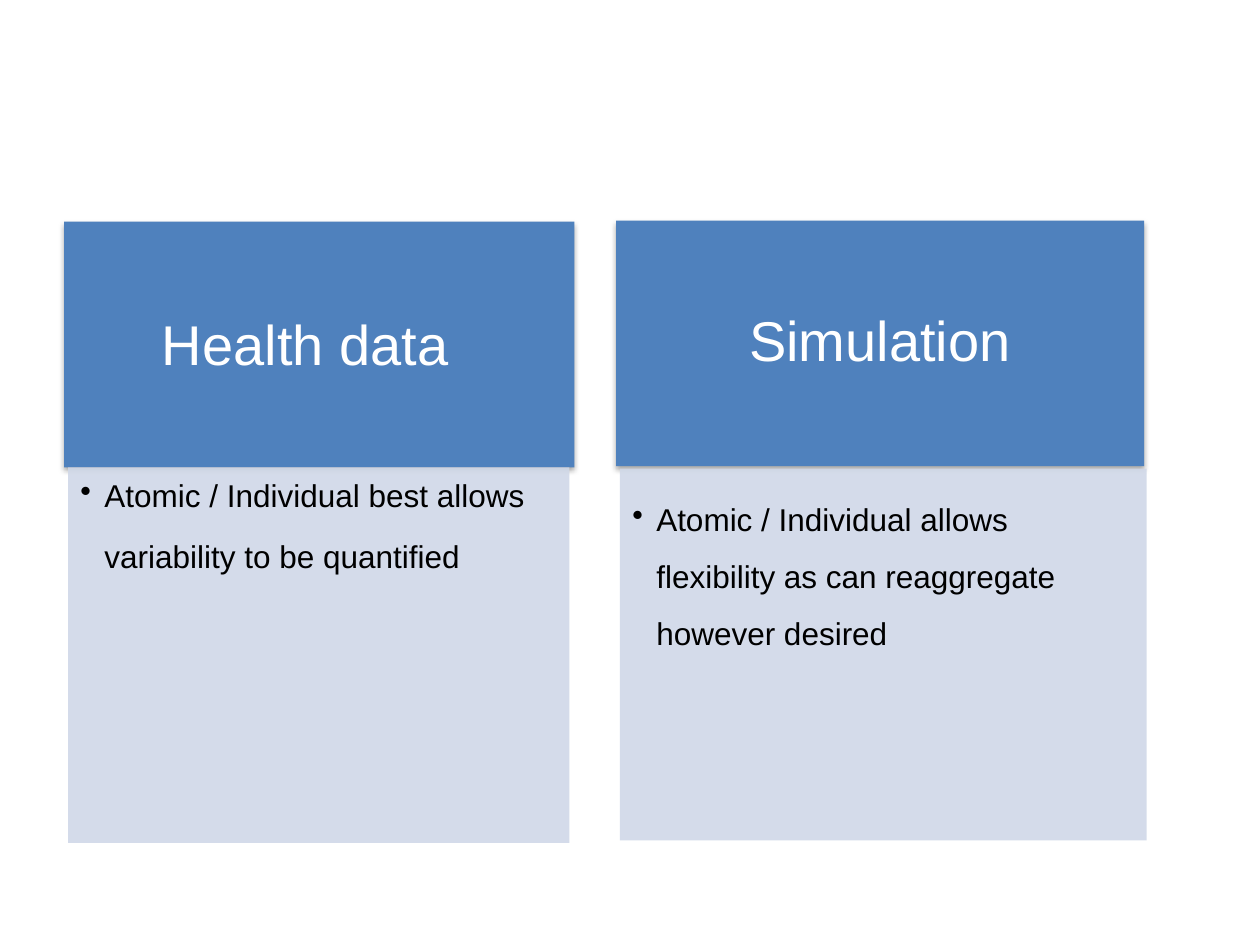
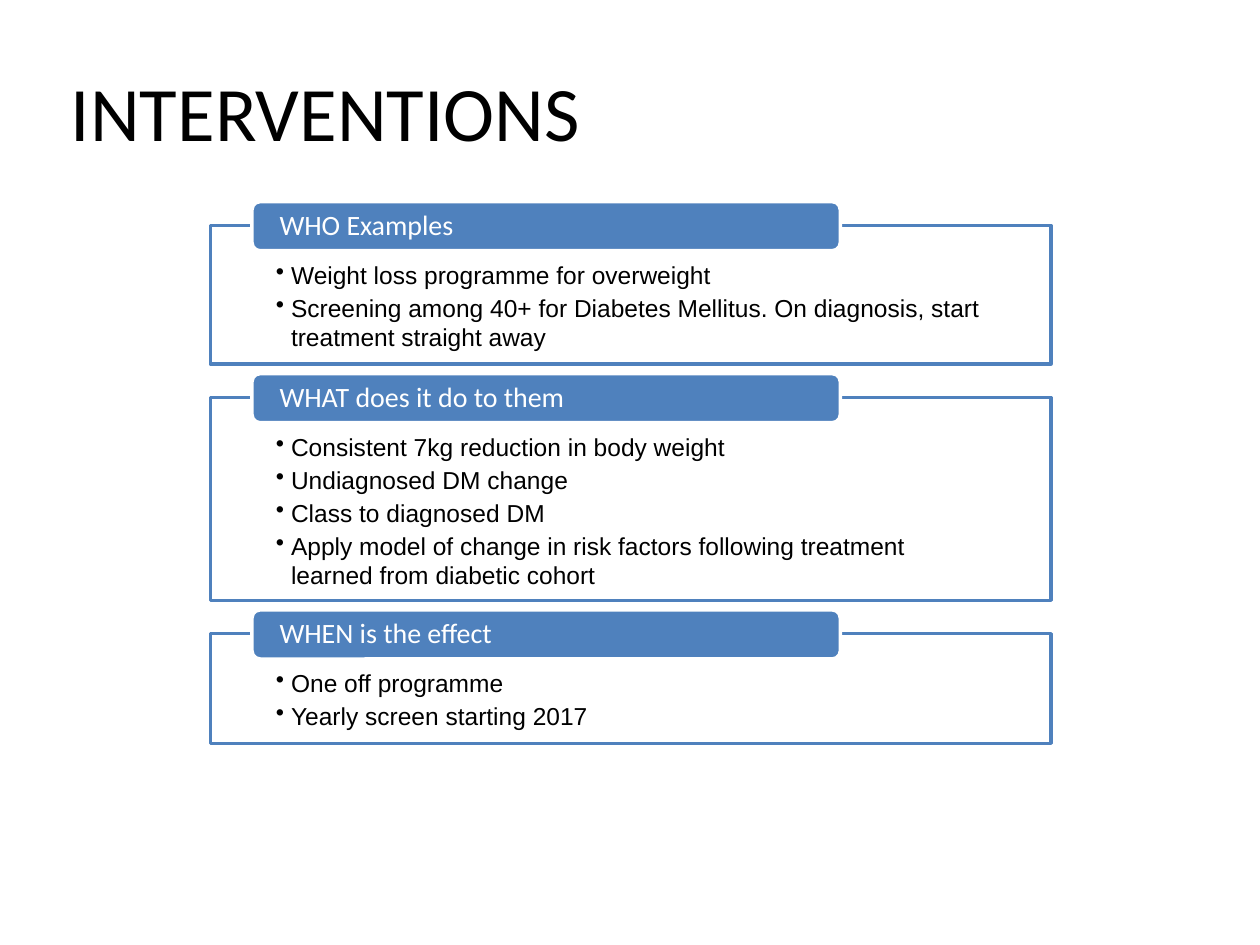
"""Build two slides: data panels and intervention boxes."""
from dataclasses import dataclass
from typing import Optional

from lxml import etree
from pptx import Presentation
from pptx import util as u
from pptx.dml.color import RGBColor
from pptx.enum import shapes, text
from pptx.oxml.ns import qn

BLUE, PALE, WHITE, BLACK = "4F81BD", "D0D8E8", "FFFFFF", "000000"
COLS, ROWS = 100, 75
RECT, ROUND = shapes.MSO_SHAPE.RECTANGLE, shapes.MSO_SHAPE.ROUNDED_RECTANGLE
TOP, MID = text.MSO_ANCHOR.TOP, text.MSO_ANCHOR.MIDDLE
LEFT, MIDDLE = text.PP_ALIGN.LEFT, text.PP_ALIGN.CENTER


@dataclass
class Style:
    """Say how a block of text looks."""
    size: float
    font: str
    color: str
    inset: tuple
    anchor: object = TOP
    align: object = LEFT
    lead: float = 1.0
    after: float = 0
    hang: float = 0


@dataclass
class Box:
    """Place a box in grid columns and rows."""
    x: float
    y: float
    w: float
    h: float
    fill: str
    line: Optional[str] = None
    kind: object = RECT
    clear: bool = False
    shade: bool = False


@dataclass
class Panel:
    """Pair a heading box with its body box."""
    head: Box
    body: Box
    name: str
    note: str
    lead: float
    tab: bool = False


@dataclass
class Group:
    """Hold a heading, its points and its height in rows."""
    name: str
    points: list
    h: float


deck = Presentation()
deck.slide_width, deck.slide_height = u.Inches(10), u.Inches(7.5)


def tint(code: str) -> RGBColor:
    """Turn a hex string into a colour."""
    return RGBColor.from_string(code)


def across(n: float) -> int:
    """Measure grid columns."""
    return round(deck.slide_width * n / COLS)


def down(n: float) -> int:
    """Measure grid rows."""
    return round(deck.slide_height * n / ROWS)


def add(node, tag: str, **attrs: str):
    """Append an XML child with attributes."""
    return etree.SubElement(node, qn(tag), attrs)


def write(frame, lines: list, style: Style, tab: bool = False) -> None:
    """Write paragraphs into a text frame."""
    frame.word_wrap = True
    frame.vertical_anchor = style.anchor
    left, top, right, low = style.inset
    frame.margin_left, frame.margin_right = across(left), across(right)
    frame.margin_top, frame.margin_bottom = down(top), down(low)
    for i, line in enumerate(lines):
        para = frame.add_paragraph() if i else frame.paragraphs[0]
        para.alignment = style.align
        para.line_spacing = style.lead
        para.space_after = u.Pt(style.after)
        if style.hang:
            para.level = 1
            props = para._p.get_or_add_pPr()
            props.set("marL", str(across(style.hang)))
            props.set("indent", str(-across(style.hang)))
            add(props, "a:buChar", char="•")
        parts = [(line, style.size, style.font)]
        if tab:
            parts.append(("\t", 36, "Calibri"))
        for words, size, face in parts:
            run = para.add_run()
            run.text = words
            run.font.size, run.font.name = u.Pt(size), face
            run.font.color.rgb = tint(style.color)


def draw(slide, box: Box):
    """Draw a box and return it."""
    shape = slide.shapes.add_shape(
        box.kind, across(box.x), down(box.y), across(box.w), down(box.h))
    shape.shadow.inherit = False
    shape.fill.solid()
    shape.fill.fore_color.rgb = tint(box.fill)
    if box.line:
        shape.line.color.rgb = tint(box.line)
        shape.line.width = u.Pt(2)
    else:
        shape.line.fill.background()
    props = shape._element.spPr
    if box.clear:
        add(props.find(qn("a:solidFill"))[0], "a:alpha", val="90000")
    if box.shade:
        cast = add(props.find(qn("a:effectLst")), "a:outerShdw",
                   blurRad=str(u.Pt(3.1)), dist=str(u.Pt(1.8)),
                   dir="5400000", rotWithShape="0")
        add(add(cast, "a:srgbClr", val=BLACK), "a:alpha", val="35000")
    return shape


def page():
    """Add a blank slide."""
    return deck.slides.add_slide(deck.slide_layouts[6])


def compare(panels: list) -> None:
    """Build the slide of side by side panels."""
    slide = page()
    head = Style(32, "Arial", WHITE, (2.5, 1.4, 2.5, 1.4), MID, MIDDLE, 0.9)
    for item in panels:
        write(draw(slide, item.head).text_frame, [item.name], head, item.tab)
        body = Style(18, "Arial", BLACK, (1, 1, 1.4, 1.6),
                     lead=item.lead, hang=1.9)
        write(draw(slide, item.body).text_frame, [item.note], body, item.tab)


def stack(title: str, groups: list) -> None:
    """Build the slide of stacked boxes under a title."""
    slide = page()
    top = slide.shapes.add_textbox(
        across(-10.8), down(2.5), across(73.3), down(12.5))
    write(top.text_frame, [title],
          Style(44, "Calibri", BLACK, (1, 0.5, 1, 0.5), MID, MIDDLE))
    head = Style(16, "Calibri", WHITE, (2, 0, 2, 0), MID, lead=0.9)
    body = Style(14, "Arial", BLACK, (5.2, 2.7, 5.2, 1.1),
                 after=2.1, hang=1.2)
    y, gap = 17.9, 2.65
    for item in groups:
        frame = Box(16.7, y, 66.7, item.h, WHITE, BLUE, clear=True)
        write(draw(slide, frame).text_frame, item.points, body)
        label = Box(20, y - 1.9, 46.7, 3.9, BLUE, WHITE, ROUND)
        write(draw(slide, label).text_frame, [item.name], head)
        y += item.h + gap


compare([
    Panel(Box(5.1, 17.6, 40.5, 19.5, BLUE, shade=True),
          Box(5.4, 37.1, 39.8, 29.8, PALE, clear=True),
          "Health data",
          "Atomic / Individual best allows variability to be quantified",
          0.9, True),
    Panel(Box(48.9, 17.5, 41.9, 19.5, BLUE, shade=True),
          Box(49.2, 37.2, 41.8, 29.5, PALE, clear=True),
          "Simulation",
          "Atomic / Individual allows flexibility as can reaggregate "
          "however desired", 1.5),
])
stack("INTERVENTIONS", [
    Group("WHO Examples", [
        "Weight loss programme for overweight",
        "Screening among 40+ for Diabetes Mellitus. On diagnosis, start "
        "treatment straight away"], 11),
    Group("WHAT does it do to them", [
        "Consistent 7kg reduction in body weight",
        "Undiagnosed DM change",
        "Class to diagnosed DM",
        "Apply model of change in risk factors following treatment "
        "learned from diabetic cohort"], 16.1),
    Group("WHEN is the effect", [
        "One off programme",
        "Yearly screen starting 2017"], 8.7),
])
deck.save("out.pptx")
